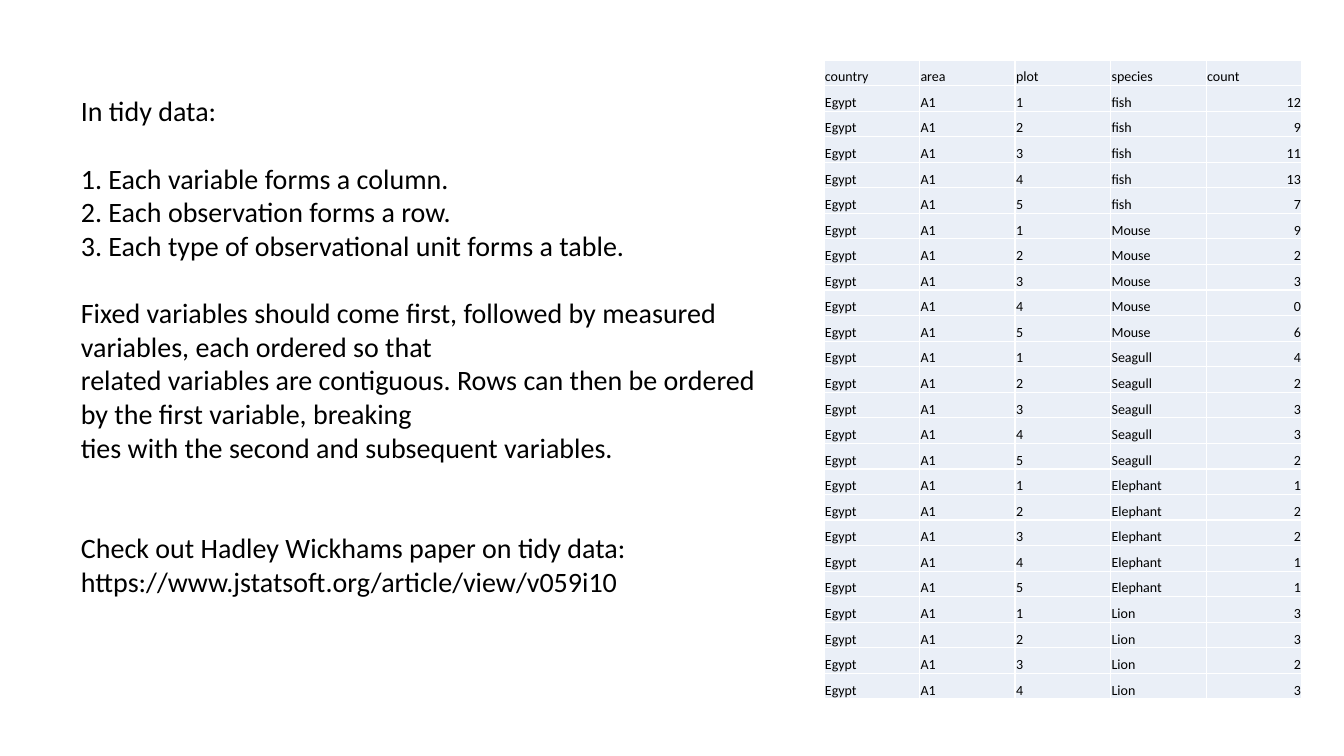
from lxml import etree
from pptx import Presentation
from pptx import util as u
from pptx.dml.color import RGBColor
from pptx.enum import text
from pptx.oxml import ns

EMU_PER_PX = 914400 / 100.8
FONT = "Calibri"
BLACK = RGBColor(0x00, 0x00, 0x00)
PALE_BLUE = RGBColor(0xEA, 0xEF, 0xF7)
WHITE = RGBColor(0xFF, 0xFF, 0xFF)

# Each line with the space before it in points.
TIDY_RULES = [
    ("In tidy data:", 0),
    ("1. Each variable forms a column.", 24),
    ("2. Each observation forms a row.", 0),
    ("3. Each type of observational unit forms a table.", 0),
    ("Fixed variables should come first, followed by measured variables, each ordered so that", 24),
    ("related variables are contiguous. Rows can then be ordered by the first variable, breaking", 0),
    ("ties with the second and subsequent variables.", 0),
    ("Check out Hadley Wickhams paper on tidy data:", 48),
    ("https://www.jstatsoft.org/article/view/v059i10", 0),
]

HEADER = ["country", "area", "plot", "species", "count"]
COUNTS_BY_SPECIES = {
    "fish": [12, 9, 11, 13, 7],
    "Mouse": [9, 2, 3, 0, 6],
    "Seagull": [4, 2, 3, 3, 2],
    "Elephant": [1, 2, 2, 1, 1],
    "Lion": [3, 3, 2, 3],
}


def px(length):
    return u.Emu(round(length * EMU_PER_PX))


def add_run(paragraph, words, size):
    run = paragraph.add_run()
    run.text = words
    run.font.name = FONT
    run.font.size = u.Pt(size)
    run.font.color.rgb = BLACK


def add_rules(slide, left, top, width, height):
    frame = slide.shapes.add_textbox(px(left), px(top), px(width), px(height)).text_frame
    frame.word_wrap = True
    frame.auto_size = text.MSO_AUTO_SIZE.SHAPE_TO_FIT_TEXT
    for index, (words, gap) in enumerate(TIDY_RULES):
        paragraph = frame.add_paragraph() if index else frame.paragraphs[0]
        if gap:
            paragraph.space_before = u.Pt(gap)
        add_run(paragraph, words, 20)


def add_borders(cell):
    properties = cell._tc.get_or_add_tcPr()
    for side in ("a:lnL", "a:lnR", "a:lnT", "a:lnB"):
        line = etree.SubElement(properties, ns.qn(side), w=str(u.Pt(1)))
        fill = etree.SubElement(line, ns.qn("a:solidFill"))
        etree.SubElement(fill, ns.qn("a:srgbClr"), val=str(WHITE))


def format_cell(cell, value):
    add_borders(cell)
    cell.fill.solid()
    cell.fill.fore_color.rgb = PALE_BLUE
    cell.margin_left = cell.margin_right = cell.margin_top = px(1)
    cell.margin_bottom = 0
    cell.vertical_anchor = text.MSO_ANCHOR.BOTTOM
    paragraph = cell.text_frame.paragraphs[0]
    if isinstance(value, int):
        paragraph.alignment = text.PP_ALIGN.RIGHT
    add_run(paragraph, str(value), 10)


def add_counts_table(slide, left, top, width, height):
    rows = [HEADER] + [
        ["Egypt", "A1", str(plot), species, count]
        for species, counts in COUNTS_BY_SPECIES.items()
        for plot, count in enumerate(counts, start=1)
    ]
    table = slide.shapes.add_table(
        len(rows), len(HEADER), px(left), px(top), px(width), px(height)
    ).table
    table.first_row = False
    table.horz_banding = False
    for row_index, row in enumerate(rows):
        for column_index, value in enumerate(row):
            format_cell(table.cell(row_index, column_index), value)


def main():
    presentation = Presentation()
    presentation.slide_width = px(1344)
    presentation.slide_height = px(756)
    slide = presentation.slides.add_slide(presentation.slide_layouts[6])
    add_rules(slide, 71, 89, 724, 519)
    add_counts_table(slide, 824, 60, 478, 639)
    presentation.save("out.pptx")


if __name__ == "__main__":
    main()
